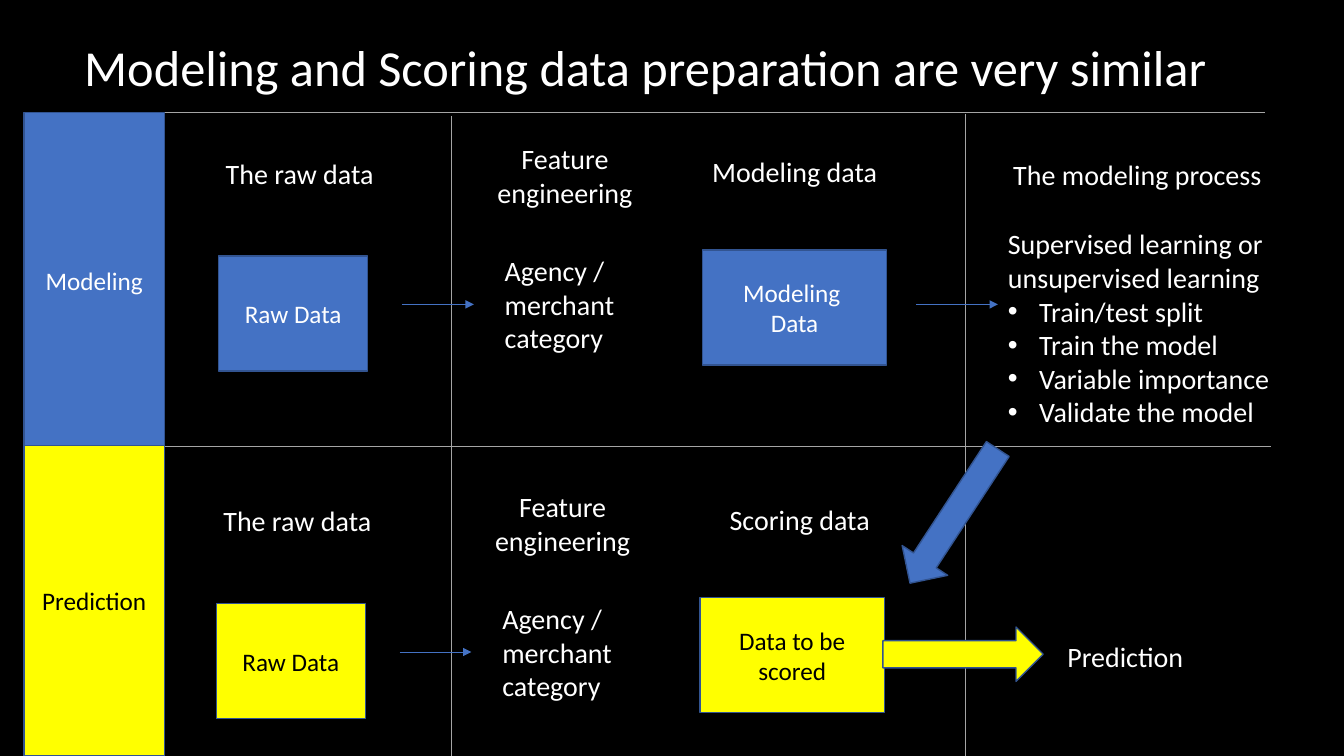
"""Build a slide that sets modeling and scoring data preparation side by side."""
from dataclasses import dataclass

from lxml.etree import SubElement as Sub
from pptx import Presentation
from pptx.dml.color import RGBColor as Rgb
from pptx.enum.shapes import MSO_CONNECTOR as Conn, MSO_SHAPE as Geo
from pptx.enum.text import MSO_ANCHOR as Anchor, MSO_AUTO_SIZE as Auto, PP_ALIGN as Align
from pptx.oxml.ns import qn
from pptx.shapes.autoshape import Shape
from pptx.slide import Slide
from pptx.text.text import TextFrame as Frame
from pptx.util import Cm, Pt


@dataclass(frozen=True)
class Theme:
    font: str = "Calibri"
    black: str = "000000"
    white: str = "FFFFFF"
    blue: str = "4472C4"
    edge: str = "325491"
    yellow: str = "FFFF00"
    grid: str = "A5A5A5"
    title: float = 36
    body: float = 20
    label: float = 18
    thin: float = 0.5
    rim: float = 1


@dataclass(frozen=True)
class Area:
    x: float
    y: float
    w: float
    h: float

    def move(self, dx: float, dy: float) -> "Area":
        return Area(self.x + dx, self.y + dy, self.w, self.h)


@dataclass(frozen=True)
class Note:
    text: str
    area: Area
    align: Align = Align.CENTER
    listed: bool = False


@dataclass(frozen=True)
class Box:
    text: str
    area: Area
    fill: str
    ink: str
    geo: Geo = Geo.RECTANGLE
    turn: float = 0


@dataclass(frozen=True)
class Line:
    x1: float
    y1: float
    x2: float
    y2: float
    color: str
    arrow: bool = False


@dataclass(frozen=True)
class Stage:
    dx: float
    dy: float
    fill: str
    ink: str
    name: str
    panel: Area
    head: str
    align: Align
    data: str


LOOK = Theme()
TITLE = Note("Modeling and Scoring data preparation are very similar", Area(1.17, 0.79, 30.2, 1.8))
GRID = [
    Line(1.17, 2.84, 31.88, 2.84, LOOK.grid),
    Line(1.04, 11.25, 32.03, 11.25, LOOK.grid),
    Line(11.38, 2.92, 11.38, 19.05, LOOK.grid),
    Line(24.33, 2.87, 24.33, 19.05, LOOK.grid),
]
STAGES = [
    Stage(0, 0, LOOK.blue, LOOK.white, "Modeling", Area(0.61, 2.84, 3.53, 8.43),
          "Modeling data", Align.LEFT, "Modeling \nData"),
    Stage(-0.06, 8.76, LOOK.yellow, LOOK.black, "Prediction", Area(0.61, 11.23, 3.53, 7.82),
          "Scoring data", Align.CENTER, "Data to be scored"),
]
STEPS = ["Train/test split", "Train the model", "Variable importance", "Validate the model"]
NOTES = [
    Note("The modeling process", Area(24.64, 3.84, 8.05, 1.12)),
    Note("\n".join(["Supervised learning or unsupervised learning", *STEPS]),
         Area(25.15, 5.59, 7.39, 5.38), Align.LEFT, True),
    Note("Prediction", Area(26.34, 16, 4.04, 1.12)),
]
ARROWS = [
    Box("", Area(22.02, 12.32, 4.04, 1.37), LOOK.blue, LOOK.white, Geo.LEFT_ARROW, 303.2),
    Box("", Area(22.25, 15.8, 4.04, 1.37), LOOK.yellow, LOOK.black, Geo.LEFT_ARROW, 180),
]


def write(frame: Frame, text: str, size: float, ink: str, align: Align, listed: bool = False) -> None:
    frame.word_wrap = True
    frame.auto_size = Auto.NONE
    for i, part in enumerate(text.split("\n")):
        para = frame.paragraphs[0] if i == 0 else frame.add_paragraph()
        para.alignment = align
        run = para.add_run()
        run.text = part
        run.font.name = LOOK.font
        run.font.size = Pt(size)
        run.font.color.rgb = Rgb.from_string(ink)
        if listed and i:
            props = para._p.get_or_add_pPr()
            props.set("marL", str(Cm(0.79)))
            props.set("indent", str(-Cm(0.79)))
            Sub(props, qn("a:buFont"), typeface="Arial")
            Sub(props, qn("a:buChar"), char="•")


def span(area: Area) -> tuple[Cm, Cm, Cm, Cm]:
    return Cm(area.x), Cm(area.y), Cm(area.w), Cm(area.h)


def add_note(slide: Slide, note: Note) -> None:
    frame = slide.shapes.add_textbox(*span(note.area)).text_frame
    write(frame, note.text, LOOK.body, LOOK.white, note.align, note.listed)


def add_box(slide: Slide, box: Box) -> Shape:
    shape = slide.shapes.add_shape(box.geo, *span(box.area))
    shape.rotation = box.turn
    shape.shadow.inherit = False
    shape.fill.solid()
    shape.fill.fore_color.rgb = Rgb.from_string(box.fill)
    shape.line.color.rgb = Rgb.from_string(LOOK.edge)
    shape.line.width = Pt(LOOK.rim)
    if box.text:
        shape.text_frame.vertical_anchor = Anchor.MIDDLE
        write(shape.text_frame, box.text, LOOK.label, box.ink, Align.CENTER)
    return shape


def add_line(slide: Slide, line: Line) -> None:
    ends = map(Cm, (line.x1, line.y1, line.x2, line.y2))
    link = slide.shapes.add_connector(Conn.STRAIGHT, *ends)
    link.line.color.rgb = Rgb.from_string(line.color)
    link.line.width = Pt(LOOK.thin)
    if line.arrow:
        Sub(link.line._get_or_add_ln(), qn("a:tailEnd"), type="triangle")
    Sub(link._element.spPr, qn("a:effectLst"))


def add_stage(slide: Slide, stage: Stage) -> None:
    dx, dy = stage.dx, stage.dy
    for text, area in [
        (stage.name, stage.panel),
        ("Raw Data", Area(5.51, 6.45, 3.76, 2.9).move(dx, dy)),
        (stage.data, Area(17.7, 6.3, 4.65, 2.9).move(dx, dy)),
    ]:
        add_box(slide, Box(text, area, stage.fill, stage.ink))
    for text, area, align in [
        ("The raw data", Area(5.44, 3.81, 4.83, 1.12), Align.LEFT),
        ("Feature engineering", Area(11.94, 3.45, 4.6, 1.96), Align.CENTER),
        ("Agency / merchant category", Area(12.47, 6.27, 3.51, 2.82), Align.LEFT),
        (stage.head, Area(17.7, 3.78, 5.03, 1.12), stage.align),
    ]:
        add_note(slide, Note(text, area.move(dx, dy), align))
    add_line(slide, Line(10.13 + dx, 7.67 + dy, 11.94 + dx, 7.67 + dy, LOOK.blue, True))


def add_title(slide: Slide, note: Note) -> None:
    title = slide.shapes.title
    title.left, title.top, title.width, title.height = span(note.area)
    title.text_frame.vertical_anchor = Anchor.TOP
    write(title.text_frame, note.text, LOOK.title, LOOK.white, note.align)


def main() -> None:
    deck = Presentation()
    deck.slide_width, deck.slide_height = Cm(33.87), Cm(19.05)
    slide = deck.slides.add_slide(deck.slide_layouts[5])
    slide.background.fill.solid()
    slide.background.fill.fore_color.rgb = Rgb.from_string(LOOK.black)
    add_title(slide, TITLE)
    for line in GRID:
        add_line(slide, line)
    for stage in STAGES:
        add_stage(slide, stage)
    add_line(slide, Line(23.09, 7.67, 25.15, 7.67, LOOK.blue, True))
    for note in NOTES:
        add_note(slide, note)
    for arrow in ARROWS:
        add_box(slide, arrow)
    deck.save("out.pptx")


if __name__ == "__main__":
    main()
